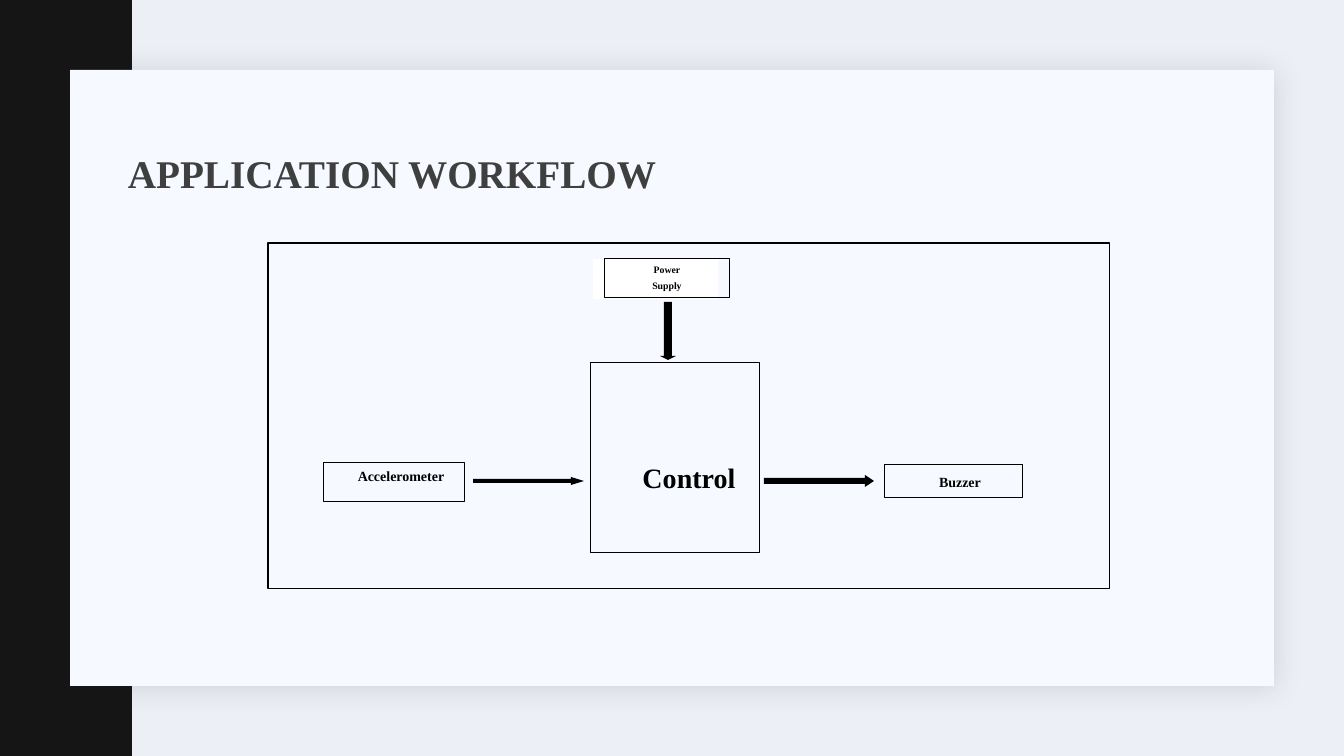
from lxml.etree import SubElement
from pptx import Presentation
from pptx.dml.color import RGBColor
from pptx.enum.shapes import MSO_SHAPE
from pptx.enum.text import MSO_ANCHOR, PP_ALIGN
from pptx.oxml.ns import qn
from pptx.util import Emu, Pt

PX = 914400 / 100.8
FONT = "Times New Roman"
COLORS = {
    "background": "EDEFF7",
    "band": "141514",
    "card": "F6F9FF",
    "shadow": "1F2125",
    "title": "3F3F3F",
    "ink": "000000",
    "white": "FFFFFF",
}


def px(n):
    return Emu(round(n * PX))


def color(name):
    return RGBColor.from_string(COLORS[name])


def add_block(s, box, fill=None, line=None, kind=MSO_SHAPE.RECTANGLE):
    """Add a preset shape; line is a width in points, None for no outline."""
    sp = s.shapes.add_shape(kind, *map(px, box))
    sp.shadow.inherit = False
    if fill:
        sp.fill.solid()
        sp.fill.fore_color.rgb = color(fill)
    else:
        sp.fill.background()
    if line:
        sp.line.color.rgb = color("ink")
        sp.line.width = Pt(line)
    else:
        sp.line.fill.background()
    return sp


def add_soft_shadow(sp):
    effects = sp._element.spPr.find(qn("a:effectLst"))
    shadow = SubElement(effects, qn("a:outerShdw"), blurRad=str(Pt(20)),
                        dist=str(Pt(2)), dir="2700000", algn="tl", rotWithShape="0")
    clr = SubElement(shadow, qn("a:srgbClr"), val=COLORS["shadow"])
    SubElement(clr, qn("a:alpha"), val="15000")


def add_run(p, text, size, ink="ink"):
    r = p.add_run()
    r.text = text
    r.font.name = FONT
    r.font.size = Pt(size)
    r.font.bold = True
    r.font.color.rgb = color(ink)


def add_title(s, text, box):
    tf = s.shapes.add_textbox(*map(px, box)).text_frame
    tf.word_wrap = True
    tf.vertical_anchor = MSO_ANCHOR.MIDDLE
    p = tf.paragraphs[0]
    p.line_spacing = 0.9
    add_run(p, text, 28, "title")


def add_node(s, box, lines, size, left, top):
    """Add an outlined box whose centred text is inset by left and top px."""
    tf = add_block(s, box, line=0.6).text_frame
    tf.word_wrap = True
    tf.vertical_anchor = MSO_ANCHOR.TOP
    tf.margin_left, tf.margin_top = px(left), px(top)
    tf.margin_right = tf.margin_bottom = 0
    for i, text in enumerate(lines):
        p = tf.add_paragraph() if i else tf.paragraphs[0]
        p.alignment = PP_ALIGN.CENTER
        p.space_before = Pt(3 if i else 0)
        add_run(p, text, size)


def add_arrow(s, kind, box, head):
    """Add a block arrow with a head of the given length in px."""
    sp = add_block(s, box, fill="ink", kind=kind)
    sp.adjustments[0] = 0.5
    sp.adjustments[1] = head / min(box[2:])


def main():
    prs = Presentation()
    prs.slide_width, prs.slide_height = px(1344), px(756)
    s = prs.slides.add_slide(prs.slide_layouts[6])
    s.background.fill.solid()
    s.background.fill.fore_color.rgb = color("background")

    add_block(s, (0, 0, 132, 756), fill="band")
    add_soft_shadow(add_block(s, (70, 70, 1204, 616), fill="card"))
    add_title(s, "APPLICATION WORKFLOW", (118, 118, 587, 115))

    add_block(s, (268, 243, 842, 346), line=0.75)
    add_block(s, (593, 259, 125, 40), fill="white")
    add_node(s, (604, 258, 125, 40), ["Power", "Supply"], 7, 1, 6)
    add_node(s, (323, 462, 142, 39), ["Accelerometer"], 10, 14, 5)
    add_node(s, (884, 464, 138, 33), ["Buzzer"], 10, 14, 10)
    add_node(s, (590, 362, 169, 190), ["Control"], 20, 29, 99)

    add_arrow(s, MSO_SHAPE.RIGHT_ARROW, (473, 477, 111, 8), 13)
    add_arrow(s, MSO_SHAPE.RIGHT_ARROW, (764, 475, 110, 12), 9)
    add_arrow(s, MSO_SHAPE.DOWN_ARROW, (660, 302, 16, 58), 4)
    prs.save("out.pptx")


if __name__ == "__main__":
    main()
